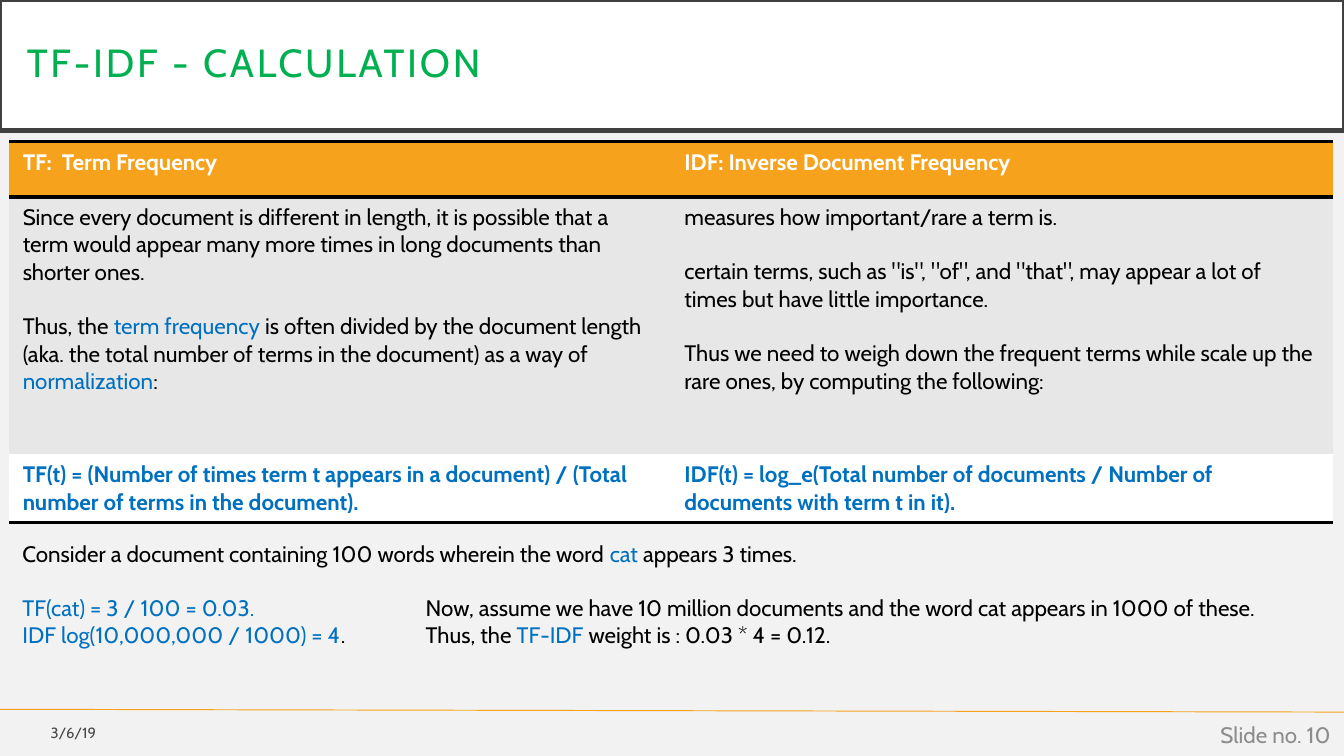
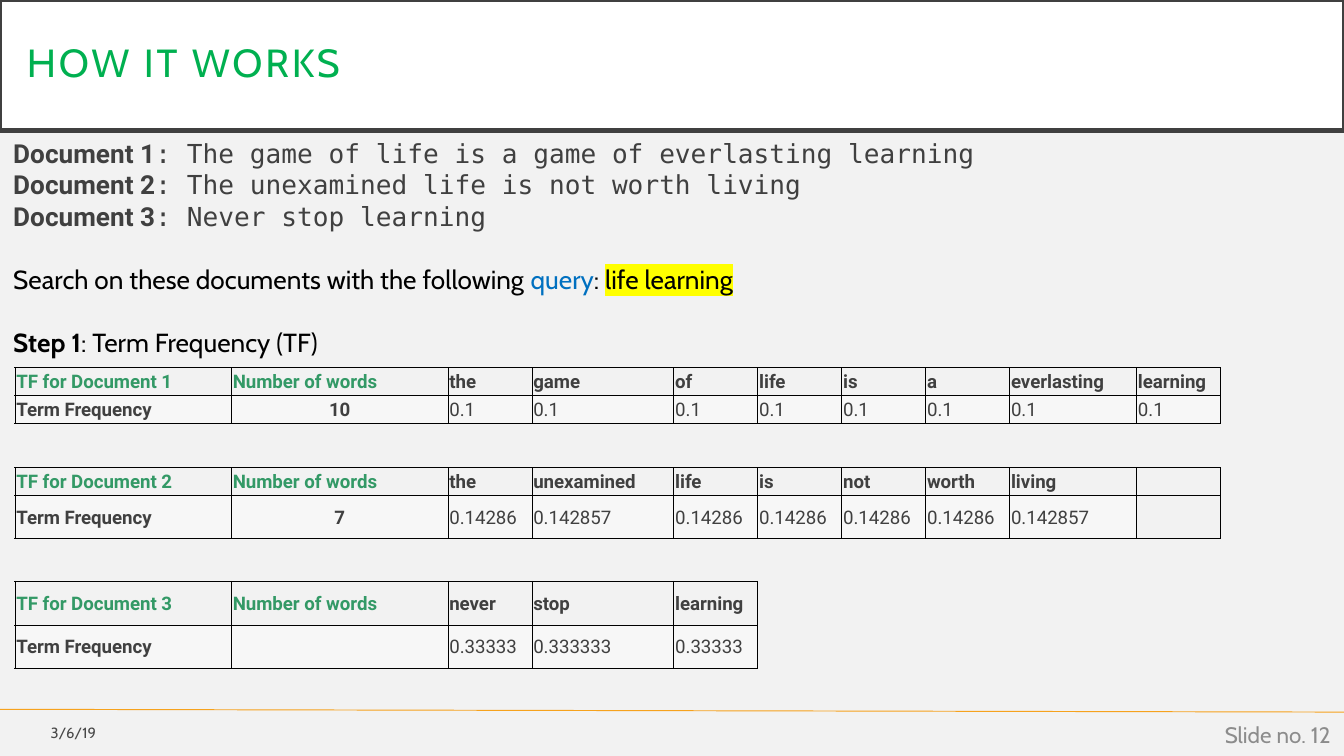
"""Build two slides on TF-IDF: the calculation and a worked example."""
from pptx import Presentation
from pptx.dml.color import RGBColor
from pptx.enum.shapes import MSO_CONNECTOR as Link
from pptx.enum.text import MSO_ANCHOR as Anchor, MSO_AUTO_SIZE as Fit, PP_ALIGN as Align
from pptx.oxml.ns import qn
from pptx.util import Pt
from lxml.etree import SubElement as Sub


class Theme:
    back, white, black = "F2F2F2", "FFFFFF", "000000"
    green, leaf, orange, blue = "00B050", "339966", "F6A21D", "0070C0"
    dark, grey, band, pale, yellow = "404040", "8C8C8C", "E7E7E7", "F7F7F7", "FFFF00"
    sans, mono, grid = "Cabin", "DejaVu Sans Mono", "Roboto"
    head, lead, body, cell, date = 21, 14, 12, 10, 7.9
    plain = "{2D5ABB26-0587-4C30-8999-92F81FD0307C}"


def write(frame, lines, size, color, font=Theme.sans, bold=False, align=Align.LEFT):
    """Fill a text frame; a line is a gap above it, then its runs."""
    frame.word_wrap = True
    for i, (gap, *runs) in enumerate(lines):
        par = frame.add_paragraph() if i else frame.paragraphs[0]
        par.alignment, par.space_before = align, Pt(gap)
        par.font.size, par.font.name, par.font.bold = Pt(size), font, bold
        par.font.color.rgb = RGBColor.from_string(color)
        for item in runs:
            text, look = (item, {}) if isinstance(item, str) else item
            run = par.add_run()
            run.text = text
            if "color" in look:
                run.font.color.rgb = RGBColor.from_string(look["color"])
            if "bold" in look:
                run.font.bold = look["bold"]
            if "mark" in look:
                mark = Sub(run._r.get_or_add_rPr(), qn("a:highlight"))
                Sub(mark, qn("a:srgbClr"), val=look["mark"])
            if "font" in look:
                run.font.name = look["font"]


def edge(cell, sides, width):
    """Draw black borders on the sides named, in the order LRTB."""
    for side in sides:
        line = Sub(cell._tc.get_or_add_tcPr(), qn("a:ln" + side), w=str(Pt(width)))
        Sub(Sub(line, qn("a:solidFill")), qn("a:srgbClr"), val=Theme.black)


deck = Presentation()
deck.slide_width, deck.slide_height = Pt(720), Pt(405)
pages = [
    ("TF-IDF - CALCULATION", 10, 5, 76, [354.5] * 2, [29.5, 138, 36.5]),
    ("HOW IT WORKS", 12, 8, 197, [116, 116, 45, 76, 45, 45, 45, 45, 68, 45],
     [15, 15, 23.5, 15, 23, 23, 23.5, 23]),
]
slides, tables = [], []
for name, num, left, top, cols, rows in pages:
    slide = deck.slides.add_slide(deck.slide_layouts[5])
    slide.background.fill.solid()
    slide.background.fill.fore_color.rgb = RGBColor.from_string(Theme.back)

    rule = slide.shapes.add_connector(Link.STRAIGHT, Pt(0), Pt(380), Pt(720), Pt(381.5))
    rule.line.width = Pt(0.5)
    rule.line.color.rgb = RGBColor.from_string(Theme.orange)
    Sub(rule._element.spPr, qn("a:effectLst"))

    title = slide.shapes.title
    title.left, title.top, title.width, title.height = Pt(0), Pt(0), Pt(720), Pt(70)
    title.fill.solid()
    title.fill.fore_color.rgb = RGBColor.from_string(Theme.white)
    title.line.width = Pt(2.5)
    title.line.color.rgb = RGBColor.from_string(Theme.dark)
    frame = title.text_frame
    frame.auto_size, frame.vertical_anchor = Fit.NONE, Anchor.MIDDLE
    frame.margin_left = frame.margin_right = Pt(14.4)
    frame.margin_top = frame.margin_bottom = Pt(14.4)
    write(frame, [(0, name)], Theme.head, Theme.green)
    frame.paragraphs[0].line_spacing = 0.9
    frame.paragraphs[0].runs[0]._r.get_or_add_rPr().set("spc", "150")

    date = slide.shapes.add_textbox(Pt(0), Pt(382.5), Pt(58.5), Pt(19.5)).text_frame
    write(date, [(0, "3/6/19")], Theme.date, Theme.black, align=Align.RIGHT)
    for tint in date.paragraphs[0]._p.iter(qn("a:srgbClr")):
        Sub(tint, qn("a:alpha"), val="70000")
    foot = slide.shapes.add_textbox(Pt(558), Pt(383), Pt(162), Pt(21.5)).text_frame
    write(foot, [(0, f"Slide no. {num}")], Theme.body, Theme.grey, align=Align.RIGHT)
    date.vertical_anchor = foot.vertical_anchor = Anchor.MIDDLE

    table = slide.shapes.add_table(len(rows), len(cols), Pt(left), Pt(top),
                                   Pt(sum(cols)), Pt(sum(rows))).table
    table.first_row = table.horz_banding = False
    table._tbl.tblPr.find(qn("a:tableStyleId")).text = Theme.plain
    for col, width in zip(table.columns, cols):
        col.width = Pt(width)
    for row, height in zip(table.rows, rows):
        row.height = Pt(height)
    slides.append(slide)
    tables.append(table)

blue = {"color": Theme.blue}
gap = 14.6
terms = [
    (Theme.orange, Theme.white, True, "TB", [
        [(0, "TF:  Term Frequency")],
        [(0, "IDF: Inverse Document Frequency")]]),
    (Theme.band, Theme.black, False, "", [
        [(0, "Since every document is different in length, it is possible that a term "
             "would appear many more times in long documents than shorter ones."),
         (gap, "Thus, the ", ("term frequency ", blue),
          "is often divided by the document length (aka. the total number of terms "
          "in the document) as a way of ", ("normalization", blue), ":")],
        [(0, "measures how important/rare a term is."),
         (gap, 'certain terms, such as "is", "of", and "that", may appear a lot of '
               "times but have little importance."),
         (gap, "Thus we need to weigh down the frequent terms while scale up the rare "
               "ones, by computing the following:")]]),
    (Theme.white, Theme.blue, True, "B", [
        [(0, "TF(t) = (Number of times term t appears in a document) / "
             "(Total number of terms in the document).")],
        [(0, "IDF(t) = log_e(Total number of documents / "
             "Number of documents with term t in it).")]]),
]
for row, (fill, color, bold, sides, texts) in zip(tables[0].rows, terms):
    for cell, lines in zip(row.cells, texts):
        edge(cell, sides, 2)
        cell.fill.solid()
        cell.fill.fore_color.rgb = RGBColor.from_string(fill)
        write(cell.text_frame, lines, Theme.body, color, bold=bold)

case = slides[0].shapes.add_textbox(Pt(5), Pt(286), Pt(709), Pt(65.5)).text_frame
write(case, [
    (0, "Consider a document containing 100 words wherein the word ", ("cat", blue),
     " appears 3 times."),
    (gap, ("TF(cat) = 3 / 100 = 0.03.", blue),
     "\tNow, assume we have 10 million documents and the word cat appears in 1000 of these."),
    (0, ("IDF log(10,000,000 / 1000) = 4", blue), ".\tThus, the ", ("TF-IDF", blue),
     " weight is : 0.03 * 4 = 0.12."),
], Theme.body, Theme.black)
for par in case.paragraphs[1:]:
    stops = par._p.pPr.makeelement(qn("a:tabLst"))
    Sub(stops, qn("a:tab"), pos=str(Pt(216)), algn="l")
    par._p.pPr.find(qn("a:defRPr")).addprevious(stops)

docs = ["The game of life is a game of everlasting learning",
        "The unexamined life is not worth living",
        "Never stop learning"]
label = {"color": Theme.dark, "bold": True, "font": Theme.grid}
quote = {"color": Theme.dark, "font": Theme.mono}
intro = slides[1].shapes.add_textbox(Pt(0), Pt(70), Pt(702), Pt(160)).text_frame
write(intro, [(0, (f"Document {n}", label), (f": {text}", quote))
              for n, text in enumerate(docs, 1)] + [
    (17, "Search on these documents with the following ", ("query", blue), ": ",
     ("life learning", {"color": Theme.black, "mark": Theme.yellow})),
    (17, ("Step 1", {"bold": True}), ": Term Frequency (TF)"),
], Theme.lead, Theme.black)

short, long = "0.14286", "0.142857"
counts = [
    ("10", ["the", "game", "of", "life", "is", "a", "everlasting", "learning"], ["0.1"] * 8),
    ("7", ["the", "unexamined", "life", "is", "not", "worth", "living", ""],
     [short, long, short, short, short, short, long, ""]),
    ("", ["never", "stop", "learning"], ["0.33333", "0.333333", "0.33333"]),
]
for n, (total, words, shares) in enumerate(counts):
    heads = [f"TF for Document {n + 1}", "Number of words"] + words
    values = ["Term Frequency", total] + shares
    for r, texts in enumerate([heads, values]):
        for c, text in enumerate(texts):
            cell = tables[1].cell(3 * n + r, c)
            edge(cell, "LRTB", 0.5)
            if r and heads[c]:
                cell.fill.solid()
                cell.fill.fore_color.rgb = RGBColor.from_string(Theme.pale)
            if text:
                write(cell.text_frame, [(0, text)], Theme.cell,
                      Theme.leaf if r == 0 and c < 2 else Theme.dark, Theme.grid,
                      r == 0 or c < 2, Align.CENTER if r and c == 1 else Align.LEFT)
for cell in tables[1].iter_cells():
    cell.vertical_anchor = Anchor.MIDDLE
    cell.margin_left = cell.margin_right = cell.margin_top = Pt(0.75)
    cell.margin_bottom = Pt(0)
    if not cell.text:
        cell.text_frame.paragraphs[0]._p.get_or_add_endParaRPr().set("sz", "1000")

deck.save("out.pptx")
